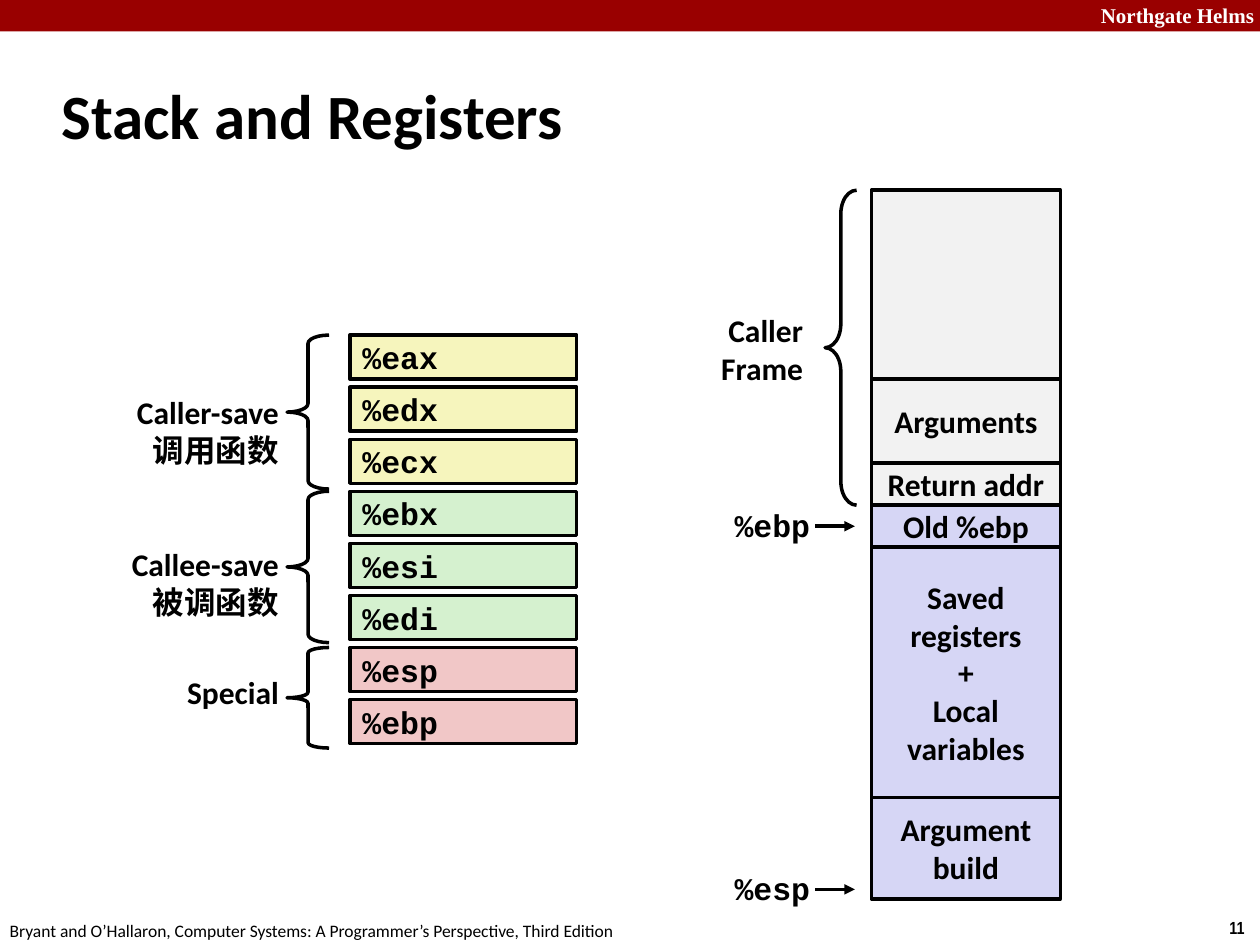
import pptx
import pptx.util
import pptx.dml.color
import pptx.enum.shapes
import pptx.enum.text
import pptx.oxml
import pptx.oxml.ns

Pt = pptx.util.Pt
RGBColor = pptx.dml.color.RGBColor
SHAPE = pptx.enum.shapes.MSO_SHAPE
ALIGN = pptx.enum.text.PP_ALIGN
ANCHOR = pptx.enum.text.MSO_ANCHOR

BLACK = RGBColor(0x00, 0x00, 0x00)
WHITE = RGBColor(0xFF, 0xFF, 0xFF)
CRIMSON = RGBColor(0x99, 0x00, 0x00)
GREY = RGBColor(0xF2, 0xF2, 0xF2)
LAVENDER = RGBColor(0xD6, 0xD6, 0xF5)
YELLOW = RGBColor(0xF6, 0xF5, 0xBD)
GREEN = RGBColor(0xD5, 0xF1, 0xCF)
PINK = RGBColor(0xF1, 0xC7, 0xC7)
SANS, MONO = "Calibri", "Courier New"


def write(frame, lines, font=SANS, size=18, bold=True, color=BLACK, align=ALIGN.LEFT):
    """Fill a text frame with one formatted paragraph per line."""
    for index, line in enumerate(lines):
        paragraph = frame.add_paragraph() if index else frame.paragraphs[0]
        paragraph.text = line
        paragraph.alignment = align
        paragraph.font.name = font
        paragraph.font.size = Pt(size)
        paragraph.font.bold = bold
        paragraph.font.color.rgb = color


def add_label(slide, left, top, width, height, lines, wrap=False, **style):
    """Add a text box holding the given lines."""
    frame = slide.shapes.add_textbox(Pt(left), Pt(top), Pt(width), Pt(height)).text_frame
    frame.word_wrap = wrap
    write(frame, lines, **style)


def add_cell(slide, left, top, width, height, fill, lines=(), **style):
    """Add a filled, black-edged rectangle with text in its middle."""
    cell = slide.shapes.add_shape(SHAPE.RECTANGLE, Pt(left), Pt(top), Pt(width), Pt(height))
    cell.shadow.inherit = False
    cell.fill.solid()
    cell.fill.fore_color.rgb = fill
    cell.line.color.rgb = BLACK
    cell.line.width = Pt(2)
    cell.text_frame.vertical_anchor = ANCHOR.MIDDLE
    write(cell.text_frame, lines, **style)


def add_brace(slide, left, top, width, height, curl):
    """Add a left brace with the given curl."""
    brace = slide.shapes.add_shape(SHAPE.LEFT_BRACE, Pt(left), Pt(top), Pt(width), Pt(height))
    brace.adjustments[0] = curl
    brace.shadow.inherit = False
    brace.fill.background()
    brace.line.color.rgb = BLACK
    brace.line.width = Pt(2)


def add_pointer(slide, left, y, register):
    """Add a register name with an arrow to the stack beside it."""
    add_label(slide, left, y - 15, 122, 29, [register], wrap=True, font=MONO, align=ALIGN.RIGHT)
    arrow = slide.shapes.add_connector(
        pptx.enum.shapes.MSO_CONNECTOR.STRAIGHT, Pt(left + 118), Pt(y), Pt(left + 140.5), Pt(y))
    arrow.line.color.rgb = BLACK
    arrow.line.width = Pt(2)
    properties = arrow.line._get_or_add_ln()
    properties.append(pptx.oxml.parse_xml(
        '<a:tailEnd type="triangle" %s/>' % pptx.oxml.ns.nsdecls("a")))
    properties.getparent().append(pptx.oxml.parse_xml(
        "<a:effectLst %s/>" % pptx.oxml.ns.nsdecls("a")))


def add_page_furniture(slide, width, height):
    """Add the top band, the footer and the page number."""
    band = slide.shapes.add_shape(SHAPE.RECTANGLE, 0, 0, Pt(width), Pt(18))
    band.shadow.inherit = False
    band.fill.solid()
    band.fill.fore_color.rgb = CRIMSON
    band.line.fill.background()
    add_label(slide, width - 98, -2, 103, 22, ["Northgate Helms"],
              wrap=True, font="Times New Roman", size=12, color=WHITE)
    add_label(slide, width - 24.5, height - 19.5, 24.5, 19.5, ["11"], font="Arial Narrow", size=10)
    add_label(slide, -1.5, height - 18, 366, 19.5,
              ["Bryant and O’Hallaron, Computer Systems: A Programmer’s Perspective, Third Edition"],
              size=10, bold=False)


def add_title(slide, left, top, width, height):
    """Place and format the slide title."""
    title = slide.shapes.title
    title.left, title.top, title.width, title.height = Pt(left), Pt(top), Pt(width), Pt(height)
    title.text_frame.vertical_anchor = ANCHOR.MIDDLE
    write(title.text_frame, ["Stack and Registers"], size=36)


def add_registers(slide, left, top, width):
    """Draw the registers in braced groups by saving convention."""
    pitch, cell_height, brace_width = 29.75, 25.2, 24
    groups = [
        (["Caller-save", "调用函数"], YELLOW, ["%eax", "%edx", "%ecx"], 96.5, 29.5, 88, 0.2),
        (["Callee-save", "被调函数"], GREEN, ["%ebx", "%esi", "%edi"], 99.5, 27, 86.5, 0.2),
        (["Special"], PINK, ["%esp", "%ebp"], 67, 11, 57.5, 0.13),
    ]
    group_top = top
    for caption, fill, registers, caption_width, offset, brace_height, curl in groups:
        for row, register in enumerate(registers):
            add_cell(slide, left, group_top + row * pitch, width, cell_height,
                     fill, [register], font=MONO)
        add_brace(slide, left - 36, group_top, brace_width, brace_height, curl)
        add_label(slide, left - 33.5 - caption_width, group_top + offset, caption_width,
                  22 * len(caption) + 7, caption, align=ALIGN.RIGHT)
        group_top += len(registers) * pitch


def add_stack(slide, left, top, width):
    """Draw the stack frames with their brace and pointers."""
    parts = [
        (108, GREY, []),
        (48, GREY, ["Arguments"]),
        (24, GREY, ["Return addr"]),
        (24, LAVENDER, ["Old %ebp"]),
        (143, LAVENDER, ["Saved", "registers", "+", "Local", "variables"]),
        (58, LAVENDER, ["Argument", "build"]),
    ]
    part_top = top
    for height, fill, lines in parts:
        add_cell(slide, left, part_top, width, height, fill, lines, align=ALIGN.CENTER)
        part_top += height
    caller_height = sum(part[0] for part in parts[:3])
    add_brace(slide, left - 26.5, top, 18, caller_height, 0.75)
    add_label(slide, left - 94, top + 65.5, 62, 51, ["Caller", "Frame"], align=ALIGN.RIGHT)
    add_pointer(slide, left - 150, top + caller_height + 12, "%ebp")
    add_pointer(slide, left - 150, part_top - 5.5, "%esp")


def main():
    """Build and save the slide."""
    deck = pptx.Presentation()
    deck.slide_width, deck.slide_height = Pt(720), Pt(540)
    slide = deck.slides.add_slide(deck.slide_layouts[5])
    add_page_furniture(slide, 720, 540)
    add_title(slide, 28, 35.5, 597.5, 60)
    add_stack(slide, 498, 108.7, 108)
    add_registers(slide, 200, 191.5, 129.6)
    deck.save("out.pptx")


main()
